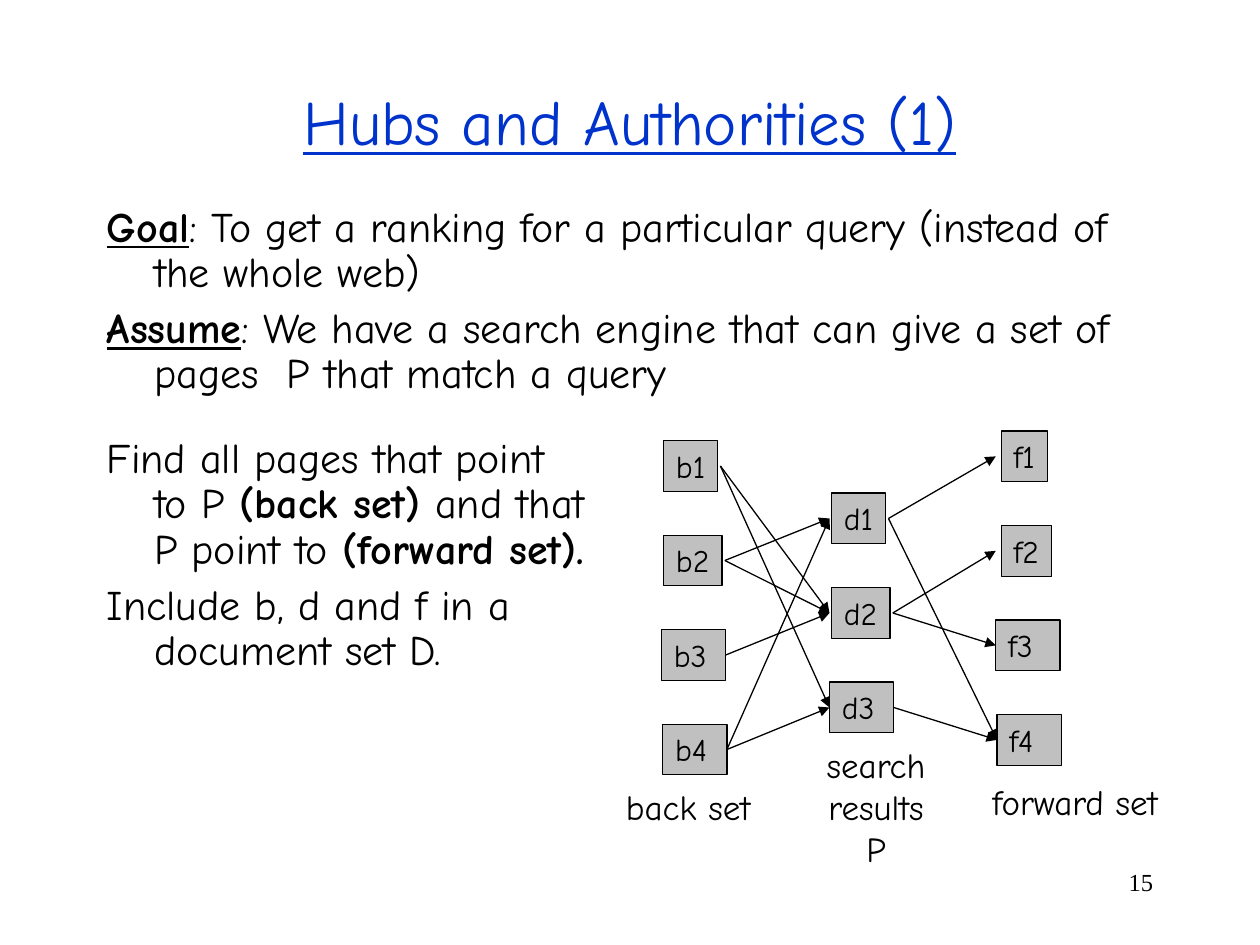
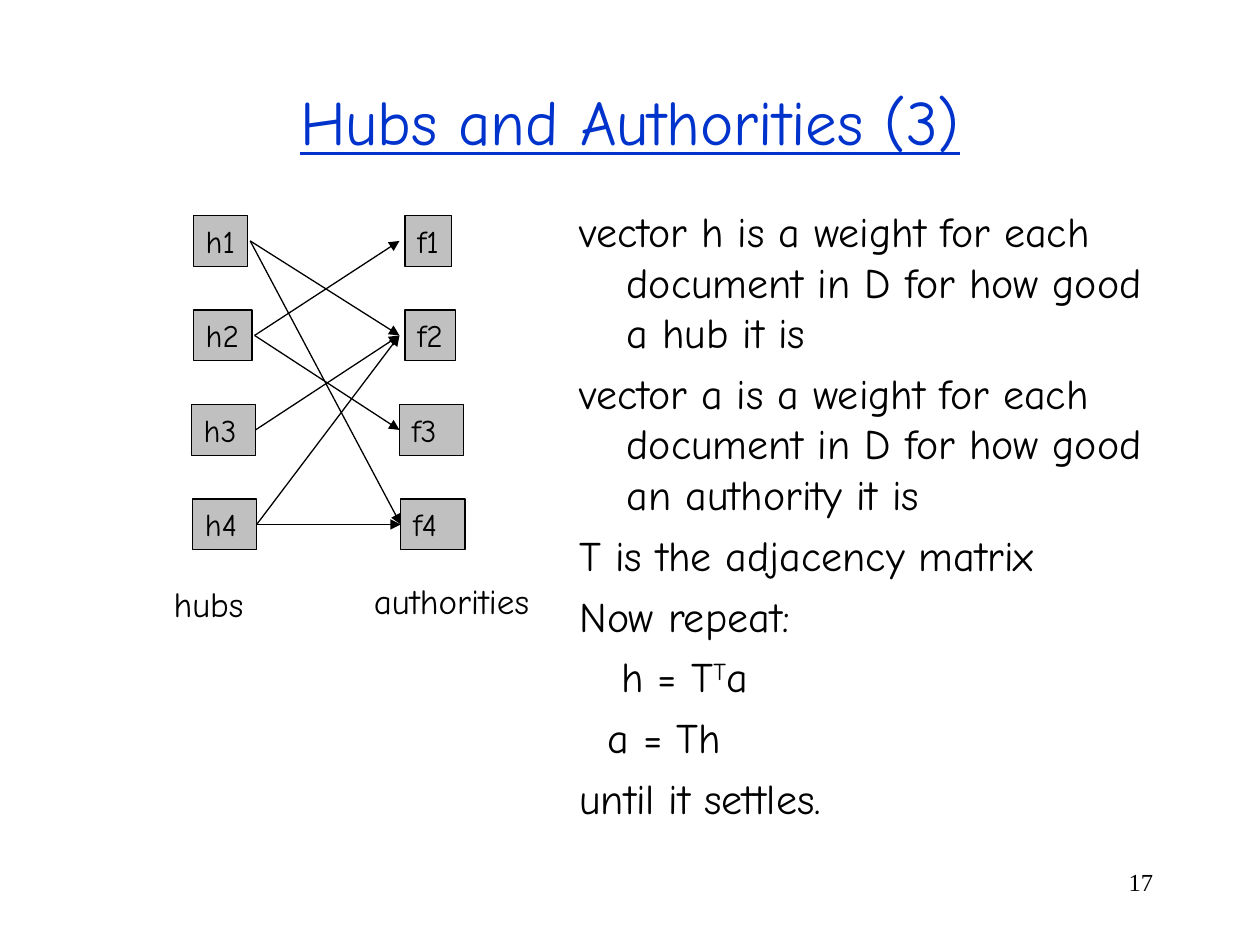
from dataclasses import dataclass

import pptx
import pptx.dml.color
import pptx.enum.shapes
import pptx.enum.text
import pptx.oxml
import pptx.oxml.ns
import pptx.util

Pt = pptx.util.Pt
Align = pptx.enum.text.PP_ALIGN
Anchor = pptx.enum.text.MSO_ANCHOR


@dataclass(frozen=True)
class Theme:
    title: str = "0033CC"
    ink: str = "000000"
    node: str = "C0C0C0"
    font: str = "Comic Neue"
    number_font: str = "Times New Roman"
    title_size: int = 36
    body_size: int = 24
    caption_size: int = 20
    node_size: int = 18
    number_size: int = 14
    line: float = 0.75


THEME = Theme()
PITCH = 54
NODE_H = 29
ARROW_GAP = 1.5
HANG = 27
INSET = 7.2
HUB_NODES = [(1.2, 31), (1.2, 33.5), (0, 36.7), (0.7, 36.7)]
FORWARD_NODES = [(3.2, 26.6), (3.2, 28.8), (0, 36.7), (0.7, 36.7)]


def rgb(value):
    return pptx.dml.color.RGBColor.from_string(value)


def write(sp, paras, size=THEME.body_size, font=THEME.font, color=THEME.ink,
          align=Align.LEFT, anchor=Anchor.TOP, right=INSET,
          underline=False, before=0, spacing=None, hang=0):
    tf = sp.text_frame
    tf.word_wrap = True
    tf.vertical_anchor = anchor
    tf.margin_right = Pt(right)
    for i, para in enumerate(paras):
        p = tf.add_paragraph() if i else tf.paragraphs[0]
        p.alignment = align
        p.space_before = Pt(before)
        if spacing:
            p.line_spacing = spacing
        runs, left, first = para if isinstance(para, tuple) else (para, hang, -hang)
        pPr = p._p.get_or_add_pPr()
        pPr.set("marL", str(Pt(left)))
        pPr.set("indent", str(Pt(first)))
        for run in [runs] if isinstance(runs, str) else runs:
            words, style = (run, "") if isinstance(run, str) else run
            r = p.add_run()
            r.text = words
            r.font.name = font
            r.font.size = Pt(size)
            r.font.color.rgb = rgb(color)
            r.font.bold = "bold" in style
            r.font.underline = underline or "underline" in style
            if "super" in style:
                r._r.get_or_add_rPr().set("baseline", "30000")


def add_text(s, box, paras, **fmt):
    write(s.shapes.add_textbox(*map(Pt, box)), paras, **fmt)


def add_body(s, box, paras, spacing=None):
    add_text(s, box, paras, before=6, hang=HANG, spacing=spacing)


def add_frame(prs, title, number):
    s = prs.slides.add_slide(prs.slide_layouts[6])
    add_text(s, (54, 36, 612, 66), [title], size=THEME.title_size,
             color=THEME.title, underline=True, align=Align.CENTER,
             anchor=Anchor.MIDDLE)
    add_text(s, (516, 492, 150, 36), [str(number)], size=THEME.number_size,
             font=THEME.number_font, align=Align.RIGHT)
    return s


def add_node(s, box, label):
    sp = s.shapes.add_shape(pptx.enum.shapes.MSO_SHAPE.RECTANGLE, *map(Pt, box))
    sp.shadow.inherit = False
    sp.fill.solid()
    sp.fill.fore_color.rgb = rgb(THEME.node)
    sp.line.color.rgb = rgb(THEME.ink)
    sp.line.width = Pt(THEME.line)
    write(sp, [label], size=THEME.node_size, right=0)


def add_arrow(s, start, end):
    c = s.shapes.add_connector(pptx.enum.shapes.MSO_CONNECTOR.STRAIGHT,
                               *map(Pt, start + end))
    c.line.color.rgb = rgb(THEME.ink)
    c.line.width = Pt(THEME.line)
    tail = pptx.oxml.parse_xml(
        f'<a:tailEnd {pptx.oxml.ns.nsdecls("a")} type="triangle"/>')
    c.line._get_or_add_ln().append(tail)
    c._element.spPr.append(pptx.oxml.parse_xml(
        f'<a:effectLst {pptx.oxml.ns.nsdecls("a")}/>'))


def add_graph(s, origin, columns, edges, captions):
    x0, y0 = origin
    inlets, outlets = {}, {}
    for letter, dx, dy, nodes in columns:
        for i, (indent, w) in enumerate(nodes):
            label = f"{letter}{i + 1}"
            narrow = i < 2
            x, y = x0 + dx + indent, y0 + dy + i * PITCH
            add_node(s, (x, y, w, NODE_H), label)
            middle = y + NODE_H / 2
            inlets[label] = (x0 + dx if narrow else x, middle)
            outlets[label] = (x + w + (ARROW_GAP if narrow else 0), middle)
    for edge in edges.split():
        start, end = edge.split("-")
        add_arrow(s, outlets[start], inlets[end])
    for dx, dy, w, lines in captions:
        centred = len(lines) > 1
        add_text(s, (x0 + dx, y0 + dy, w, 31.5 * len(lines)), lines,
                 size=THEME.caption_size, right=INSET if centred else 0,
                 align=Align.CENTER if centred else Align.LEFT)


def build_document_set(prs):
    s = add_frame(prs, "Hubs and Authorities (1)", 15)
    add_body(s, (54, 114, 612, 126), [
        [("Goal", "bold underline"),
         ": To get a ranking for a particular query (instead of the whole web)"],
        [("Assume", "bold underline"),
         ": We have a search engine that can give a set of pages  P that match a query"],
    ], spacing=0.9)
    add_body(s, (54, 246.3, 288, 228), [
        ["Find all pages that point to P", (" (back set) ", "bold"),
         "and that P point to", (" (forward set).", "bold")],
        "Include b, d and f in a document set D.",
    ], spacing=0.9)
    add_graph(
        s, (378, 246.3),
        [("d", 96, 35.5, HUB_NODES[:3]), ("f", 191, 0, FORWARD_NODES),
         ("b", 0, 5.5, HUB_NODES)],
        "b1-d2 b1-d3 b2-d1 b3-d2 b2-d2 b4-d3 b4-d1 "
        "d2-f3 d2-f2 d1-f1 d1-f4 d3-f4",
        [(-27.4, 199, 86, ["back set"]),
         (182, 196, 110, ["forward set"]),
         (82, 175, 81.3, ["search", "results", "P"])])


def build_weights(prs):
    s = add_frame(prs, "Hubs and Authorities (3)", 17)
    add_body(s, (324, 114, 342, 366), [
        "vector h is a weight for each document in D for how good a hub it is",
        "vector a is a weight for each document in D for how good an authority it is",
        "T is the adjacency matrix",
        "Now repeat:",
        (["h = T", ("T", "super"), "a"], 24, 0),
        ("a = Th", 16, 0),
        "until it settles.",
    ])
    add_graph(
        s, (109.3, 123.2),
        [("f", 119, 0, FORWARD_NODES), ("h", 0, 0, HUB_NODES)],
        "h1-f2 h1-f4 h2-f1 h3-f2 h2-f3 h4-f4 h4-f2",
        [(-17.2, 206, 56, ["hubs"]), (97.2, 204.6, 104, ["authorities"])])


def main():
    prs = pptx.Presentation()
    prs.slide_width, prs.slide_height = Pt(720), Pt(540)
    build_document_set(prs)
    build_weights(prs)
    prs.save("out.pptx")


if __name__ == "__main__":
    main()
